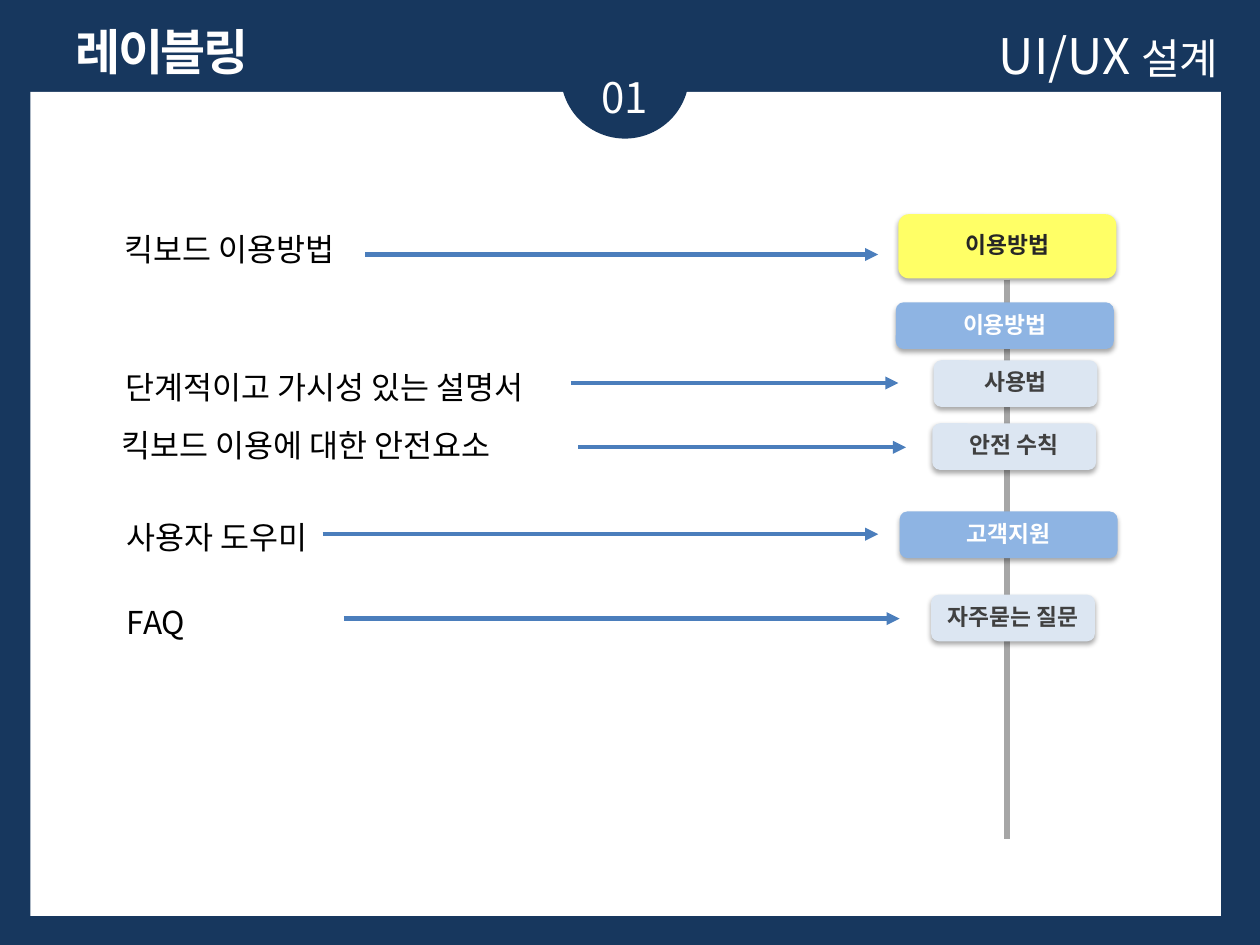
from typing import NamedTuple

from lxml import etree
from pptx import Presentation, util as u
from pptx.dml.color import RGBColor
from pptx.enum import shapes, text
from pptx.oxml import parse_xml
from pptx.oxml.ns import nsdecls, qn

FONT = "Noto Sans CJK KR"
COLORS = {
    "navy": "17375E", "white": "FFFFFF", "black": "000000", "yellow": "FFFF66",
    "blue": "8EB4E3", "pale": "DCE6F2", "ink": "262626", "gray": "404040",
    "trunk": "A6A6A6", "arrow": "4B7EBC",
}
SHADOW = (
    f'<a:effectLst {nsdecls("a")}><a:outerShdw blurRad="39370" dist="22860" dir="5400000" '
    'rotWithShape="0"><a:srgbClr val="000000"><a:alpha val="35000"/></a:srgbClr>'
    '</a:outerShdw></a:effectLst>'
)


class Tag(NamedTuple):
    label: str
    left: float
    top: float
    width: float
    height: float
    fill: str
    color: str


class Label(NamedTuple):
    wording: str
    left: float
    top: float


class Arrow(NamedTuple):
    start: float
    end: float
    y: float


TAGS = [
    Tag("이용방법", 7.13, 1.7, 1.73, 0.51, "yellow", "ink"),
    Tag("이용방법", 7.11, 2.4, 1.73, 0.37, "blue", "white"),
    Tag("고객지원", 7.14, 4.06, 1.73, 0.37, "blue", "white"),
    Tag("사용법", 7.41, 2.86, 1.3, 0.37, "pale", "gray"),
    Tag("안전 수칙", 7.4, 3.36, 1.3, 0.37, "pale", "gray"),
    Tag("자주묻는 질문", 7.39, 4.72, 1.3, 0.37, "pale", "gray"),
]
LABELS = [
    Label("킥보드 이용방법", 0.89, 1.78),
    Label("단계적이고 가시성 있는 설명서", 0.9, 2.87),
    Label("킥보드 이용에 대한 안전요소", 0.87, 3.33),
    Label("사용자 도우미", 0.91, 4.06),
    Label("FAQ", 0.91, 4.74),
]
ARROWS = [
    Arrow(2.9, 6.97, 2.02), Arrow(4.53, 7.13, 3.04), Arrow(4.59, 7.19, 3.55),
    Arrow(2.56, 6.97, 4.24), Arrow(2.73, 7.14, 4.91),
]


def rgb(name: str) -> RGBColor:
    """Return the named colour."""
    return RGBColor.from_string(COLORS[name])


def style_span(span, size: float, color: str, bold: bool = False) -> None:
    """Format one run, covering Latin and Korean letters."""
    span.font.name = FONT
    span.font.size = u.Pt(size)
    span.font.bold = bold
    span.font.color.rgb = rgb(color)
    etree.SubElement(span.font._element, qn("a:ea"), typeface=FONT)


def add_block(page, kind, left: float, top: float, width: float, height: float, fill: str):
    """Add a plain filled shape."""
    block = page.shapes.add_shape(
        kind, u.Inches(left), u.Inches(top), u.Inches(width), u.Inches(height))
    block.shadow.inherit = False
    block.fill.solid()
    block.fill.fore_color.rgb = rgb(fill)
    block.line.fill.background()
    return block


def add_text(page, left: float, top: float, width: float, height: float, wording: str,
             size: float, color: str, align=text.PP_ALIGN.LEFT, bold: bool = False):
    """Add a one-line text box and return its paragraph."""
    box = page.shapes.add_textbox(
        u.Inches(left), u.Inches(top), u.Inches(width), u.Inches(height))
    box.text_frame.word_wrap = True
    para = box.text_frame.paragraphs[0]
    para.text = wording
    para.alignment = align
    style_span(para.runs[0], size, color, bold)
    return para


def add_line(page, x1: float, y1: float, x2: float, y2: float, color: str, width: float):
    """Add a straight line without a shadow."""
    line = page.shapes.add_connector(
        shapes.MSO_CONNECTOR.STRAIGHT,
        u.Inches(x1), u.Inches(y1), u.Inches(x2), u.Inches(y2))
    line.line.color.rgb = rgb(color)
    line.line.width = u.Pt(width)
    etree.SubElement(line._element.spPr, qn("a:effectLst"))
    return line


def add_tag(page, tag: Tag) -> None:
    """Add a rounded menu tag with a soft shadow."""
    block = add_block(page, shapes.MSO_SHAPE.ROUNDED_RECTANGLE,
                      tag.left, tag.top, tag.width, tag.height, tag.fill)
    properties = block._element.spPr
    properties.replace(properties.find(qn("a:effectLst")), parse_xml(SHADOW))
    frame = block.text_frame
    frame.margin_left = frame.margin_right = u.Inches(0.05)
    frame.margin_top = frame.margin_bottom = u.Inches(0.03)
    frame.vertical_anchor = text.MSO_ANCHOR.MIDDLE
    frame.text = tag.label
    para = frame.paragraphs[0]
    para.alignment = text.PP_ALIGN.CENTER
    para.line_spacing = 0.9
    style_span(para.runs[0], 13, tag.color, True)


def add_header(page) -> None:
    """Add the white panel, the section number and both titles."""
    add_block(page, shapes.MSO_SHAPE.RECTANGLE, 0.24, 0.73, 9.45, 6.54, "white")
    add_block(page, shapes.MSO_SHAPE.OVAL, 4.45, 0.08, 1.02, 1.02, "navy")
    center = text.PP_ALIGN.CENTER
    add_text(page, 4.37, 0.52, 1.18, 0.5, "01", 24, "white", center)
    title = add_text(page, 0.44, 0.12, 1.69, 0.57, "레이블링", 28, "white", center, True)
    title.runs[0].font._element.set("spc", "-150")
    course = add_text(page, 5.83, 0.15, 3.94, 0.57, "UI/UX ", 28, "white",
                      text.PP_ALIGN.RIGHT)
    subject = course.add_run()
    subject.text = "설계"
    style_span(subject, 24, "white")


def main() -> None:
    """Build the slide and save the deck."""
    deck = Presentation()
    deck.slide_width, deck.slide_height = u.Inches(10), u.Inches(7.5)
    page = deck.slides.add_slide(deck.slide_layouts[6])
    page.background.fill.solid()
    page.background.fill.fore_color.rgb = rgb("navy")
    add_header(page)
    add_line(page, 7.99, 2.22, 7.99, 6.66, "trunk", 3.25)
    for tag in TAGS:
        add_tag(page, tag)
    for label in LABELS:
        add_text(page, label.left, label.top, 4.96, 0.4, label.wording, 18, "black")
    for arrow in ARROWS:
        line = add_line(page, arrow.start, arrow.y, arrow.end, arrow.y, "arrow", 2.5)
        etree.SubElement(line.line._get_or_add_ln(), qn("a:tailEnd"), type="triangle")
    deck.save("out.pptx")


main()
